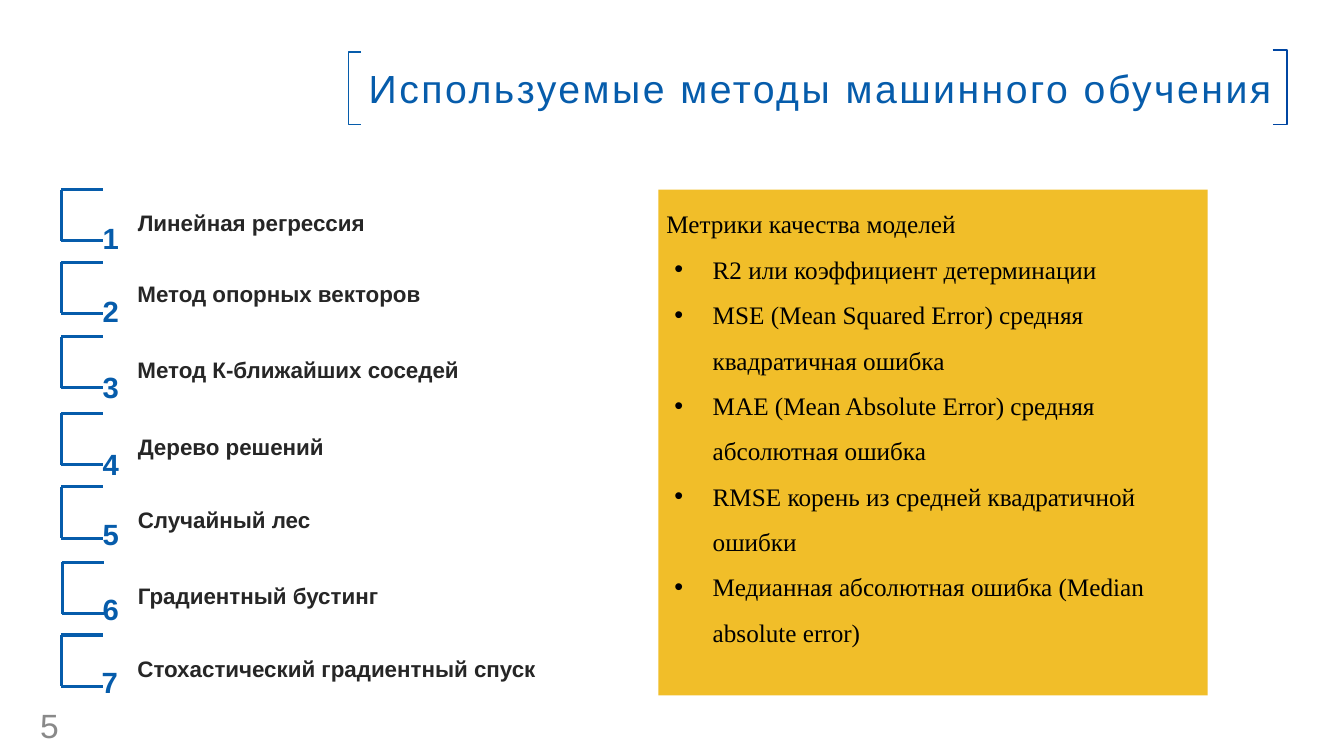
from dataclasses import dataclass

from lxml import etree
from pptx import Presentation
from pptx.dml.color import RGBColor
from pptx.enum.shapes import MSO_CONNECTOR, MSO_SHAPE
from pptx.enum.text import MSO_ANCHOR, MSO_AUTO_SIZE, PP_ALIGN
from pptx.oxml.ns import qn
from pptx.slide import Slide
from pptx.text.text import Font, TextFrame, _Paragraph
from pptx.util import Pt

RECTANGLE = MSO_SHAPE.RECTANGLE
STRAIGHT = MSO_CONNECTOR.STRAIGHT
MIDDLE = MSO_ANCHOR.MIDDLE
TOP = MSO_ANCHOR.TOP
FIT_SHAPE = MSO_AUTO_SIZE.SHAPE_TO_FIT_TEXT
LEFT = PP_ALIGN.LEFT
CENTER = PP_ALIGN.CENTER

BLUE, DEEP_BLUE, DARK, GREY = "065CAB", "0046A2", "262626", "898989"
YELLOW, WHITE, BLACK = "F1BE29", "FFFFFF", "000000"
SANS, SERIF = "Arial", "Times New Roman"

BRACKET_WIDTH, BRACKET_HEIGHT = 29.5, 36.6


@dataclass(frozen=True)
class Method:
    name: str
    bracket_top: float
    number_top: float
    name_top: float
    bracket_left: float = 43.9
    number_left: float = 66.2
    name_left: float = 91.1


METHODS = [
    Method("Линейная регрессия", 135.4, 149.8, 146.2, name_left=91.4),
    Method("Метод опорных векторов", 187.2, 201.6, 196.6),
    Method("Метод К-ближайших соседей", 240.5, 255.6, 250.6),
    Method("Дерево решений", 295.2, 311, 306, name_left=91.4),
    Method("Случайный лес", 347.8, 360.7, 357.8, name_left=91.4),
    Method("Градиентный бустинг", 401.8, 414.7, 412.6, bracket_left=44.6, name_left=91.4),
    Method("Стохастический градиентный спуск", 453.6, 466.6, 464.4, number_left=65.5),
]

METRICS_HEADING = "Метрики качества моделей"
METRICS = [
    "R2 или коэффициент детерминации",
    "MSE (Mean Squared Error) средняя квадратичная ошибка",
    "MAE (Mean Absolute Error) cредняя абсолютная ошибка",
    "RMSE корень из средней квадратичной ошибки",
    "Медианная абсолютная ошибка (Median absolute error)",
]


def rgb(color: str) -> RGBColor:
    return RGBColor.from_string(color)


def add_run(paragraph: _Paragraph, text: str, size: float, color: str,
            face: str = SANS, bold: bool = False) -> Font:
    run = paragraph.add_run()
    run.text = text
    font = run.font
    font.name, font.size, font.bold = face, Pt(size), bold
    font.color.rgb = rgb(color)
    return run


def add_label(slide: Slide, left: float, top: float, width: float, height: float) -> TextFrame:
    box = slide.shapes.add_textbox(Pt(left), Pt(top), Pt(width), Pt(height))
    box.text_frame.word_wrap = True
    return box.text_frame


def add_panel(slide: Slide, left: float, top: float, width: float, height: float,
              fill: str) -> TextFrame:
    """Add a filled rectangle without an outline and return its text frame."""
    panel = slide.shapes.add_shape(RECTANGLE, Pt(left), Pt(top), Pt(width), Pt(height))
    panel.shadow.inherit = False
    panel.fill.solid()
    panel.fill.fore_color.rgb = rgb(fill)
    panel.line.fill.background()
    panel.text_frame.word_wrap = True
    return panel.text_frame


def add_line(slide: Slide, x1: float, y1: float, x2: float, y2: float) -> None:
    line = slide.shapes.add_connector(STRAIGHT, Pt(x1), Pt(y1), Pt(x2), Pt(y2))
    line.line.color.rgb = rgb(BLUE)
    line.line.width = Pt(2.25)
    etree.SubElement(line.element.spPr, qn("a:effectLst"))


def add_title_bracket(slide: Slide, tip: float, back: float, top: float, color: str) -> None:
    bottom = top + 52.6
    builder = slide.shapes.build_freeform(tip, top, scale=Pt(1))
    builder.add_line_segments([(back, top), (back, bottom), (tip, bottom)], close=False)
    bracket = builder.convert_to_shape()
    bracket.shadow.inherit = False
    bracket.fill.background()
    bracket.line.color.rgb = rgb(color)
    bracket.line.width = Pt(1.3)


def add_title(slide: Slide) -> None:
    frame = add_panel(slide, 249.1, 36.7, 673.9, 52.6, WHITE)
    frame.vertical_anchor = MIDDLE
    paragraph = frame.paragraphs[0]
    paragraph.alignment = CENTER
    run = add_run(paragraph, "Используемые методы машинного обучения", 28, BLUE)
    properties = run.font._element
    properties.set("spc", "180")
    outline = etree.Element(qn("a:ln"), w=str(Pt(0.75)))
    outline_fill = etree.SubElement(outline, qn("a:solidFill"))
    etree.SubElement(outline_fill, qn("a:srgbClr"), val=BLUE)
    properties.insert(0, outline)
    add_title_bracket(slide, 257.8, 249.1, 36.7, BLUE)
    add_title_bracket(slide, 908.6, 918.7, 36, DEEP_BLUE)


def add_method(slide: Slide, number: int, method: Method) -> None:
    left, top = method.bracket_left, method.bracket_top
    right, bottom = left + BRACKET_WIDTH, top + BRACKET_HEIGHT
    add_line(slide, left, top, left, bottom)
    for y in (top, bottom):
        add_line(slide, left, y, right, y)

    number_frame = add_label(slide, method.number_left, method.number_top, 70.6, 36)
    number_frame.auto_size = FIT_SHAPE
    digit = add_run(number_frame.paragraphs[0], str(number), 36, BLUE, bold=True)
    digit.font._element.set("baseline", "30000")

    name_frame = add_label(slide, method.name_left, method.name_top, 489.6, 26.6)
    name_frame.auto_size = FIT_SHAPE
    add_run(name_frame.paragraphs[0], method.name, 16, DARK, bold=True)


def add_bullet(paragraph: _Paragraph) -> None:
    properties = paragraph._p.get_or_add_pPr()
    properties.set("marL", str(Pt(33.1)))
    properties.set("indent", str(Pt(-27.4)))
    bullet_color = etree.SubElement(properties, qn("a:buClr"))
    etree.SubElement(bullet_color, qn("a:srgbClr"), val=BLACK)
    etree.SubElement(properties, qn("a:buFont"), typeface=SANS)
    etree.SubElement(properties, qn("a:buChar"), char="•")


def add_metrics(slide: Slide) -> None:
    frame = add_panel(slide, 470.2, 135.4, 392.4, 361.4, YELLOW)
    frame.vertical_anchor = TOP
    frame.margin_left = frame.margin_right = Pt(5.76)
    frame.margin_top = frame.margin_bottom = Pt(2.88)
    for index, text in enumerate([METRICS_HEADING, *METRICS]):
        paragraph = frame.add_paragraph() if index else frame.paragraphs[0]
        paragraph.alignment = LEFT
        paragraph.line_spacing = 1.5
        if index:
            add_bullet(paragraph)
        add_run(paragraph, text, 18, BLACK, SERIF)


def main() -> None:
    deck = Presentation()
    deck.slide_width, deck.slide_height = Pt(960), Pt(540)
    slide = deck.slides.add_slide(deck.slide_layouts[6])
    add_title(slide)
    page_frame = add_label(slide, 21.6, 506.9, 44.6, 21.6)
    page_frame.vertical_anchor = MIDDLE
    add_run(page_frame.paragraphs[0], "5", 24, GREY)
    for number, method in enumerate(METHODS, start=1):
        add_method(slide, number, method)
    add_metrics(slide)
    deck.save("out.pptx")


if __name__ == "__main__":
    main()
